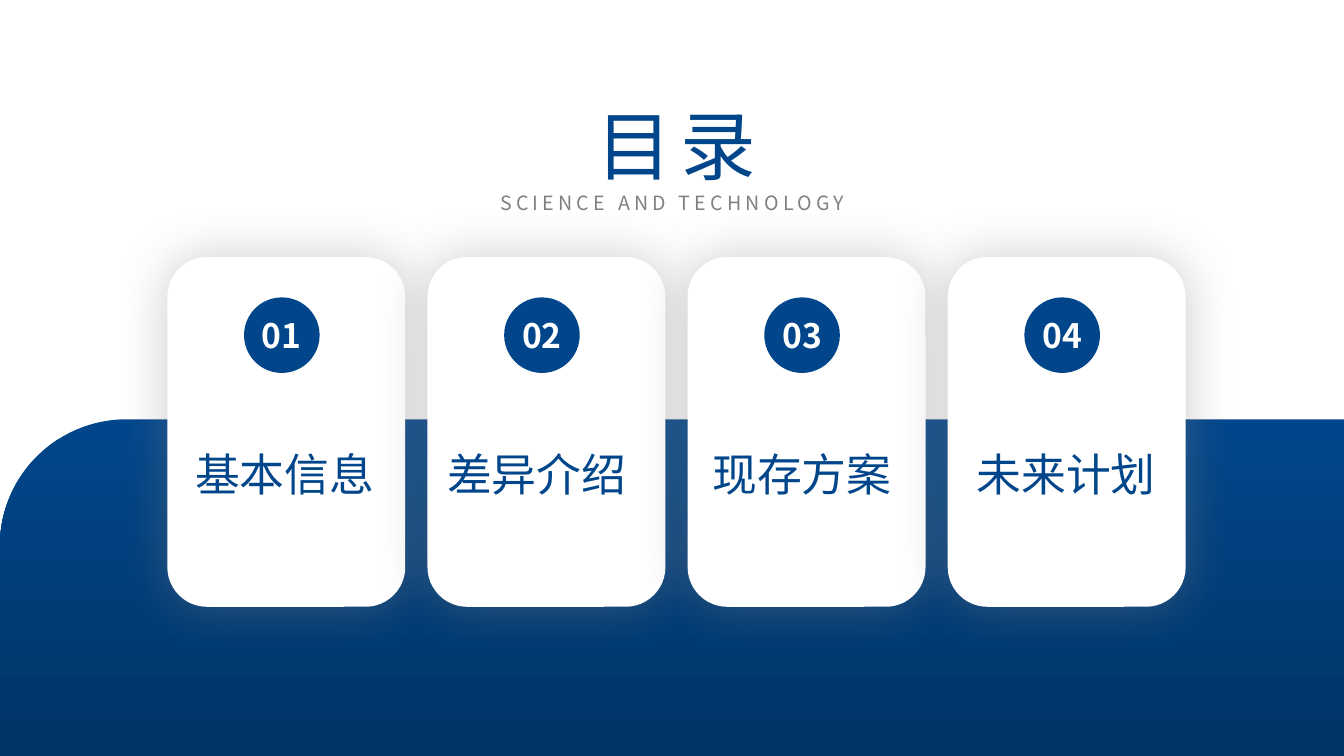
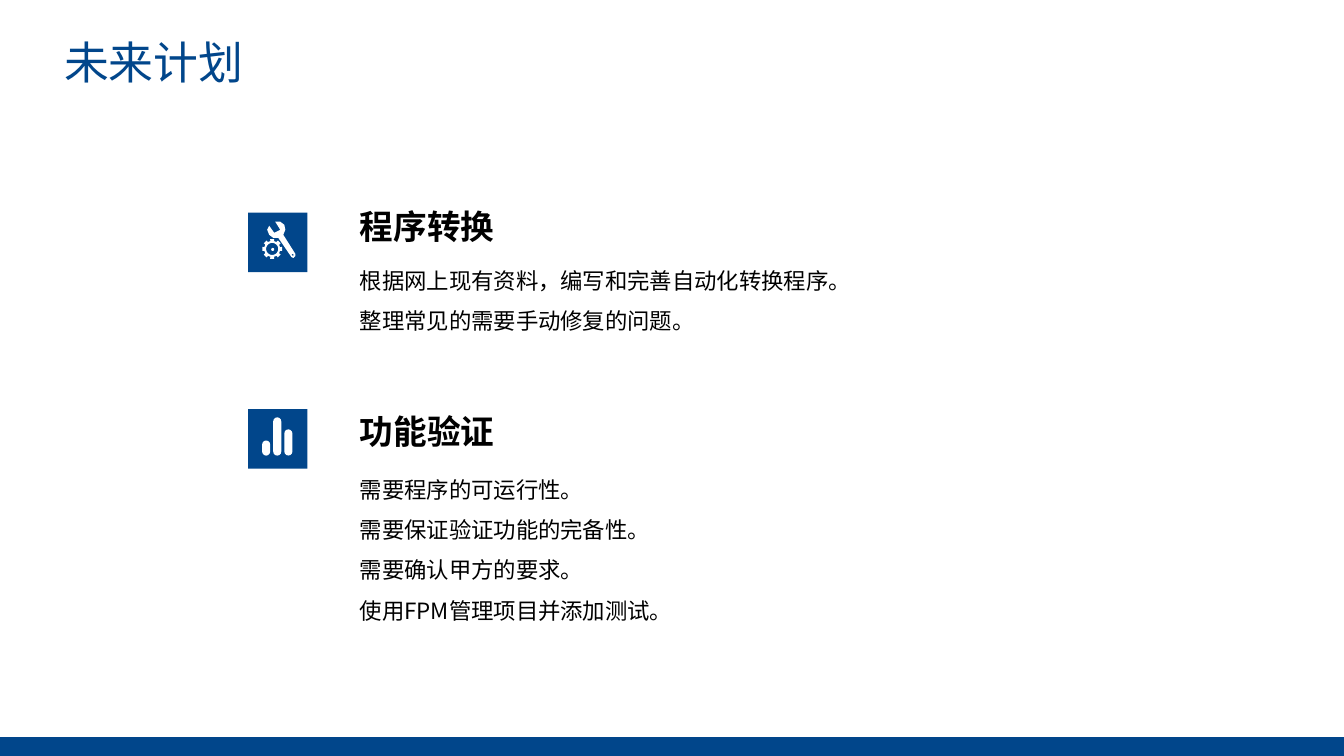
from math import cos, pi, sin

from lxml import etree
from pptx import Presentation
from pptx.dml.color import RGBColor
from pptx.enum.shapes import MSO_CONNECTOR, MSO_SHAPE
from pptx.enum.text import MSO_ANCHOR, PP_ALIGN
from pptx.oxml import parse_xml
from pptx.oxml.ns import nsdecls, qn
from pptx.util import Inches, Pt

RECT, ROUND_RECT = MSO_SHAPE.RECTANGLE, MSO_SHAPE.ROUNDED_RECTANGLE
ROUND_ONE, OVAL = MSO_SHAPE.ROUND_1_RECTANGLE, MSO_SHAPE.OVAL
LEFT, CENTER = PP_ALIGN.LEFT, PP_ALIGN.CENTER
TOP, MIDDLE = MSO_ANCHOR.TOP, MSO_ANCHOR.MIDDLE

BLUE = RGBColor(0x01, 0x46, 0x8B)
NAVY = RGBColor(0x01, 0x34, 0x68)
GREY = RGBColor(0x80, 0x80, 0x80)
WHITE = RGBColor(0xFF, 0xFF, 0xFF)
BLACK = RGBColor(0, 0, 0)
SANS, MONO = "Noto Sans CJK SC", "Courier New"

# Content: (label, left edge of its text box)
CHAPTERS = [("基本信息", 1.67), ("差异介绍", 4.17), ("现存方案", 6.8), ("未来计划", 9.42)]
CARD_LEFT, CARD_TOP, CARD_W, CARD_H, CARD_STEP = 1.66, 2.55, 2.36, 3.47, 2.58

# Content: heading, heading top, body top, body height, body lines with Latin font
PLANS = [
    ("程序转换", 1.99, 2.47, 0.87, [
        ("根据网上现有资料，编写和完善自动化转换程序。", MONO),
        ("整理常见的需要手动修复的问题。", SANS)]),
    ("功能验证", 4.03, 4.54, 1.68, [
        ("需要程序的可运行性。", MONO),
        ("需要保证验证功能的完备性。", MONO),
        ("需要确认甲方的要求。", MONO),
        ("使用FPM管理项目并添加测试。", SANS)]),
]
TILE_LEFT, TILE_SIZE, TOOLS_TOP, BARS_TOP = 2.46, 0.59, 2.11, 4.06

# Icon parts: bars as (left, top) on a common base, wrench as outlines
BARS, BAR_W, BAR_BASE = [(2.6, 4.37), (2.71, 4.14), (2.82, 4.26)], 0.08, 4.52
WRENCH = [
    [(2.93, 2.52), (2.81, 2.33), (2.83, 2.28), (2.82, 2.23), (2.78, 2.2),
     (2.73, 2.2), (2.78, 2.28), (2.72, 2.31), (2.67, 2.24), (2.65, 2.28),
     (2.67, 2.33), (2.71, 2.36), (2.76, 2.36), (2.89, 2.55), (2.91, 2.56),
     (2.93, 2.54)],
    [(2.91, 2.54), (2.89, 2.53), (2.9, 2.52), (2.91, 2.52)],
]
GEAR_X, GEAR_Y, GEAR_TEETH = 2.7, 2.47, 8


def add_text(tf, lines, size=16, color=BLACK, font=SANS, bold=False, align=LEFT,
             anchor=TOP, spacing=None, tracking=0):
    """Fill a text frame; a line is a string or a (string, Latin font) pair."""
    tf.word_wrap = True
    tf.vertical_anchor = anchor
    for i, line in enumerate(lines):
        text, face = (line, font) if isinstance(line, str) else line
        p = tf.paragraphs[0] if i == 0 else tf.add_paragraph()
        p.alignment = align
        if spacing:
            p.line_spacing = spacing
        r = p.add_run()
        r.text = text
        r.font.size, r.font.bold, r.font.name = Pt(size), bold, face
        r.font.color.rgb = color
        rPr = r._r.get_or_add_rPr()
        if tracking:
            rPr.set("spc", str(tracking * 100))
        etree.SubElement(rPr, qn("a:ea")).set("typeface", SANS)


def add_box(s, x, y, w, h, lines, **fmt):
    box = s.shapes.add_textbox(Inches(x), Inches(y), Inches(w), Inches(h))
    add_text(box.text_frame, lines, **fmt)


def paint(sp, fill):
    sp.shadow.inherit = False
    sp.fill.solid()
    sp.fill.fore_color.rgb = fill
    sp.line.fill.background()
    return sp


def add_shape(s, kind, x, y, w, h, fill):
    return paint(s.shapes.add_shape(kind, Inches(x), Inches(y), Inches(w), Inches(h)), fill)


def add_outline(s, contours, fill):
    """Draw closed contours as one freeform; inner contours become holes."""
    contours = [[(Inches(x), Inches(y)) for x, y in c] for c in contours]
    fb = s.shapes.build_freeform(*contours[0][0])
    for i, c in enumerate(contours):
        if i:
            fb.move_to(*c[0])
        fb.add_line_segments(c[1:], close=True)
    return paint(fb.convert_to_shape(), fill)


def add_glow(sp):
    effects = sp._element.spPr.find(qn("a:effectLst"))
    effects.append(parse_xml(
        f'<a:outerShdw {nsdecls("a")} blurRad="{Pt(37)}" dist="0" algn="ctr" rotWithShape="0">'
        f'<a:srgbClr val="{GREY}"><a:alpha val="40000"/></a:srgbClr></a:outerShdw>'))


def ring(points):
    """Points on the gear from (angle, radius) pairs."""
    return [(GEAR_X + r * cos(a), GEAR_Y + r * sin(a)) for a, r in points]


def add_footer(prs, s):
    """Draw the footer line and move it to the master, so every slide shows it."""
    line = s.shapes.add_connector(MSO_CONNECTOR.STRAIGHT, 0, Inches(7.41),
                                  prs.slide_width, Inches(7.41))
    line.line.color.rgb = BLUE
    line.line.width = Pt(14.25)
    etree.SubElement(line._element.spPr, qn("a:effectLst"))
    line._element.nvCxnSpPr.cNvPr.set("id", "99")
    prs.slide_master.shapes._spTree.append(line._element)


def contents_slide(s):
    # Gradient band with one rounded corner
    band = add_shape(s, ROUND_ONE, 0, 4.16, 13.33, 3.34, BLUE)
    band.adjustments[0] = 0.376
    band._element.spPr.find(qn("a:xfrm")).set("flipH", "1")
    band.fill.gradient()
    band.fill.gradient_angle = 270
    for stop, color, pos in zip(band.fill.gradient_stops, (BLUE, NAVY), (0, 1)):
        stop.color.rgb, stop.position = color, pos

    # Cards lie below all text
    lefts = [CARD_LEFT + i * CARD_STEP for i in range(len(CHAPTERS))]
    for x in lefts:
        add_glow(add_shape(s, ROUND_RECT, x, CARD_TOP, CARD_W, CARD_H, WHITE))

    # Title
    add_box(s, 3.61, 1.84, 6.12, 0.34, ["SCIENCE AND TECHNOLOGY"], size=14, color=GREY,
            align=CENTER, tracking=3)
    add_box(s, 5.75, 0.93, 1.92, 1.01, ["目录"], size=54, color=BLUE, align=CENTER, tracking=6)

    # Numbers and labels
    for i, (x, (label, label_left)) in enumerate(zip(lefts, CHAPTERS), 1):
        disc = add_shape(s, OVAL, x + 0.76, 2.95, 0.75, 0.75, BLUE)
        tf = disc.text_frame
        tf.margin_left = tf.margin_right = tf.margin_top = tf.margin_bottom = 0
        add_text(tf, [f"{i:02}"], size=24, color=WHITE, bold=True, align=CENTER, anchor=MIDDLE)
        add_box(s, label_left, 4.38, 2.31, 0.64, [label], size=32, color=BLUE, align=CENTER)


def plan_slide(s):
    add_box(s, 0.37, 0.3, 2.31, 0.64, ["未来计划"], size=32, color=BLUE, align=CENTER)

    # Bar icon
    add_shape(s, RECT, TILE_LEFT, BARS_TOP, TILE_SIZE, TILE_SIZE, BLUE)
    for x, y in BARS:
        bar = add_shape(s, ROUND_RECT, x, y, BAR_W, BAR_BASE - y, WHITE)
        bar.adjustments[0] = 0.5

    # Wrench and gear icon
    add_shape(s, RECT, TILE_LEFT, TOOLS_TOP, TILE_SIZE, TILE_SIZE, BLUE)
    add_outline(s, WRENCH, WHITE)
    pitch = 2 * pi / GEAR_TEETH
    teeth = [((i + f) * pitch, r) for i in range(GEAR_TEETH)
             for f, r in ((-0.3, 0.08), (-0.25, 0.1), (0.25, 0.1), (0.3, 0.08))]
    hole = [(i * pi / 16, 0.06) for i in range(32)]
    add_outline(s, [ring(teeth), ring(hole)], WHITE)
    add_shape(s, OVAL, GEAR_X - 0.01, GEAR_Y - 0.01, 0.03, 0.03, WHITE)

    # Headings and text
    for heading, top, body_top, body_h, lines in PLANS:
        add_box(s, 3.47, top, 1.55, 0.5, [heading], size=24, bold=True)
        add_box(s, 3.47, body_top, 7.1, body_h, lines, spacing=1.5)


def main():
    prs = Presentation()
    prs.slide_width, prs.slide_height = Inches(13.33), Inches(7.5)
    blank = prs.slide_layouts[6]
    contents, plan = (prs.slides.add_slide(blank) for _ in range(2))
    add_footer(prs, contents)
    contents_slide(contents)
    plan_slide(plan)
    prs.save("out.pptx")


if __name__ == "__main__":
    main()
